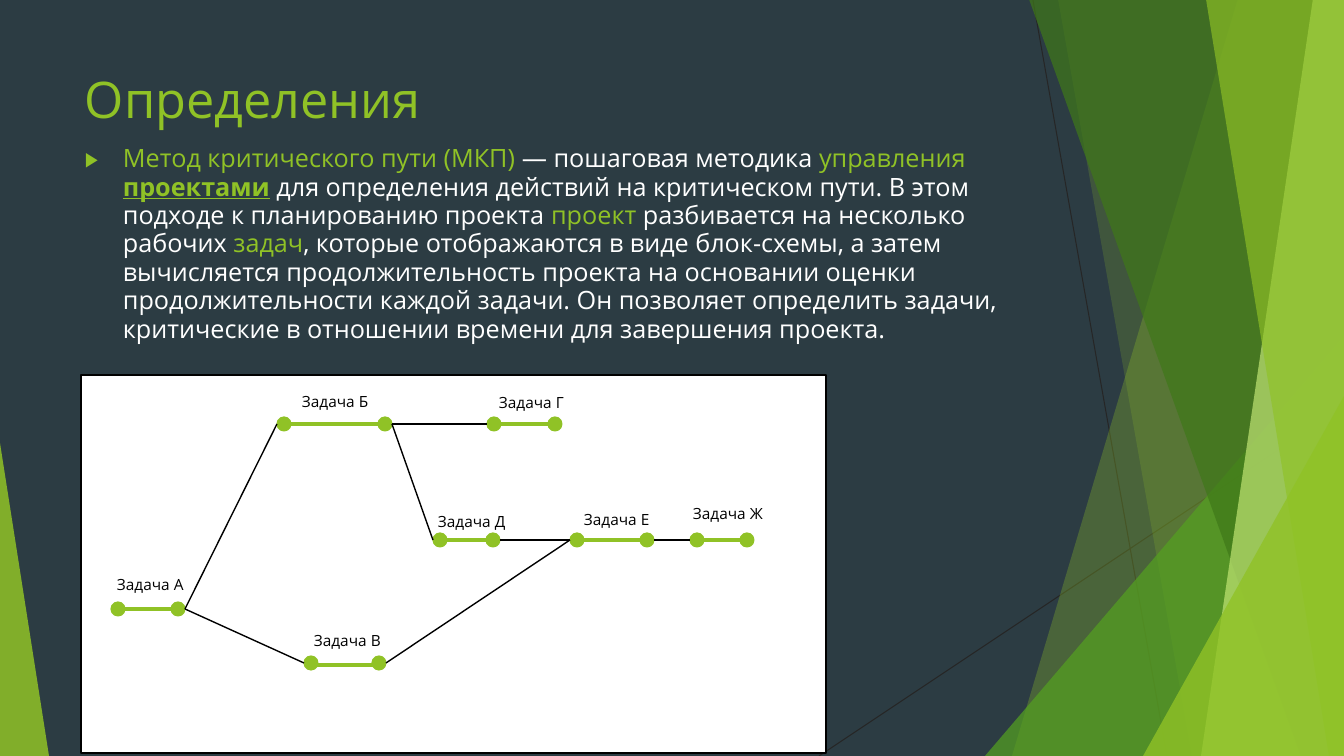
from lxml.etree import SubElement
from pptx import Presentation
from pptx.dml.color import RGBColor
from pptx.enum.shapes import MSO_CONNECTOR as Connector, MSO_SHAPE as Shape
from pptx.oxml.ns import qn
from pptx.util import Pt

EMU_PER_PIXEL = 914400 / 100.8
SLIDE_WIDTH, SLIDE_HEIGHT = 1344, 756
FONT = "Open Sans"
GREEN, WHITE, BLACK = "90C226", "FFFFFF", "000000"
DOT = 13
DOT_REACH = 7

# Facets from back to front: (x at top, x at bottom) for a band reaching the right
# edge, or (left, top, width, apex) for a triangle standing on the bottom edge.
FACETS = [
    ((1238, 1012), GREEN, 30),
    ((1058, 1192), GREEN, 20),
    ((985, 336, 359, 1), "54A021", 72),
    ((1029, 1301), "3F7819", 70),
    ((1313, 1201), "C0E474", 70),
    ((1206, 1329), GREEN, 65),
    ((1143, 396, 201, 1), GREEN, 80),
    ((0, 443, 49, 0), GREEN, 85),
]
THIN_LINES = [((1033, 0), (1167, 756)), ((1344, 406), (819, 756))]

# Task: start x, end x, y, drop of the bar, label place; all within the diagram.
TASKS = {
    "А": (37, 97, 234, 0, (26, 195)),
    "Б": (203, 304, 49, 0, (211, 12)),
    "В": (230, 298, 288, 2, (223, 251)),
    "Г": (413, 474, 49, 0, (408, 13)),
    "Д": (359, 412, 165, 0, (347, 132)),
    "Е": (496, 566, 165, 0, (493, 130)),
    "Ж": (616, 666, 165, 0, (602, 124)),
}
LINKS = ["АБ", "АВ", "БГ", "БД", "ДЕ", "ВЕ", "ЕЖ"]

DEFINITION = [
    ("Метод критического пути (МКП) ", {"color": GREEN}),
    ("— пошаговая методика ", {}),
    ("управления ", {"color": GREEN}),
    ("проектами", {"color": GREEN, "bold": True, "underline": True}),
    (" для определения действий на критическом пути. В этом подходе к "
     "планированию проекта ", {}),
    ("проект", {"color": GREEN}),
    (" разбивается на несколько рабочих ", {}),
    ("задач", {"color": GREEN}),
    (", которые отображаются в виде блок-схемы, а затем вычисляется "
     "продолжительность проекта на основании оценки продолжительности каждой "
     "задачи. Он позволяет определить задачи, критические в отношении времени "
     "для завершения проекта.", {}),
]


def emu(*pixels):
    """Turn pixel lengths into a list of EMU lengths."""
    return [round(pixel * EMU_PER_PIXEL) for pixel in pixels]


def paint(color_format, color):
    """Set a colour from a hex string."""
    color_format.rgb = RGBColor.from_string(color)


def style_shape(shape, fill, opacity=100, line=None, weight=0):
    """Give a shape its fill, opacity and outline, without a shadow."""
    shape.shadow.inherit = False
    shape.fill.solid()
    paint(shape.fill.fore_color, fill)
    if opacity < 100:
        color = shape.fill._xPr.find(qn("a:solidFill"))[0]
        SubElement(color, qn("a:alpha"), val=str(opacity * 1000))
    if line:
        paint(shape.line.color, line)
        shape.line.width = Pt(weight)
    else:
        shape.line.fill.background()
    return shape


def add_line(slide, start, end, color, weight):
    """Draw a straight connector between two points."""
    line = slide.shapes.add_connector(Connector.STRAIGHT, *emu(*start, *end))
    paint(line.line.color, color)
    line.line.width = Pt(weight)
    SubElement(line._element.spPr, qn("a:effectLst"))


def add_text(slide, box, runs, size, spacing=1.0):
    """Add a one-paragraph text box and return its paragraph."""
    frame = slide.shapes.add_textbox(*emu(*box)).text_frame
    frame.word_wrap = True
    paragraph = frame.paragraphs[0]
    paragraph.line_spacing = spacing
    for text, changes in runs:
        values = {"name": FONT, "size": Pt(size), "color": WHITE, **changes}
        run = paragraph.add_run()
        run.text = text
        paint(run.font.color, values.pop("color"))
        for name, value in values.items():
            setattr(run.font, name, value)
    return paragraph


def add_bullet(paragraph, indent):
    """Put a small green triangle bullet before a hanging paragraph."""
    properties = paragraph._p.get_or_add_pPr()
    margin = emu(indent)[0]
    properties.set("marL", str(margin))
    properties.set("indent", str(-margin))
    color = SubElement(properties, qn("a:buClr"))
    SubElement(color, qn("a:srgbClr"), val=GREEN)
    SubElement(properties, qn("a:buSzPct"), val="80000")
    SubElement(properties, qn("a:buFont"), typeface=FONT)
    SubElement(properties, qn("a:buChar"), char="▶")


def add_facets(slide, box):
    """Draw the thin lines and translucent facets of the backdrop."""
    left, top, width, height = box
    right, bottom = left + width, top + height
    for start, end in THIN_LINES:
        add_line(slide, (left + start[0], top + start[1]),
                 (left + end[0], top + end[1]), "262626", 0.75)
    for place, color, opacity in FACETS:
        if len(place) == 2:
            upper, lower = left + place[0], left + place[1]
            corners = [(right, top - 1), (right, bottom), (lower, bottom)]
            builder = slide.shapes.build_freeform(*emu(upper, top - 1), scale=1)
            builder.add_line_segments([emu(*corner) for corner in corners])
            facet = builder.convert_to_shape()
        else:
            x, y, facet_width, apex = place
            facet = slide.shapes.add_shape(
                Shape.ISOSCELES_TRIANGLE,
                *emu(left + x, top + y, facet_width, height - y))
            facet.adjustments[0] = apex
        style_shape(facet, color, opacity)


def add_definition(slide, box):
    """Write the heading and the bulleted definition below it."""
    left, top, width, height = box
    add_text(slide, (left, top, width, 145),
             [("Определения", {"color": GREEN})], 36, 0.95)
    paragraph = add_text(slide, (left, top + 72, width, height - 72),
                         DEFINITION, 18, 0.94)
    add_bullet(paragraph, 38)


def add_task_network(slide, box):
    """Draw the white panel with linked tasks and their labels."""
    left, top, _, _ = box
    panel = slide.shapes.add_shape(Shape.RECTANGLE, *emu(*box))
    style_shape(panel, WHITE, line=BLACK, weight=1.5)
    for letter, (start, end, y, drop, label) in TASKS.items():
        for x in (start, end):
            dot = slide.shapes.add_shape(
                Shape.OVAL,
                *emu(left + x - DOT / 2, top + y - DOT / 2, DOT, DOT))
            style_shape(dot, GREEN, line=GREEN, weight=1.5)
        bar_y = top + y + drop
        add_line(slide, (left + start, bar_y), (left + end, bar_y), GREEN, 2.25)
        add_text(slide, (left + label[0], top + label[1], 93, 29),
                 [(f"Задача {letter}", {"color": BLACK})], 11)
    for source, target in LINKS:
        _, source_x, source_y, _, _ = TASKS[source]
        target_x, _, target_y, _, _ = TASKS[target]
        add_line(slide, (left + source_x + DOT_REACH, top + source_y),
                 (left + target_x - DOT_REACH, top + target_y), BLACK, 1)


def main():
    """Build the slide and save it."""
    presentation = Presentation()
    presentation.slide_width, presentation.slide_height = emu(
        SLIDE_WIDTH, SLIDE_HEIGHT)
    slide = presentation.slides.add_slide(presentation.slide_layouts[6])
    slide.background.fill.solid()
    paint(slide.background.fill.fore_color, "2C3C43")
    add_facets(slide, (0, 0, SLIDE_WIDTH, SLIDE_HEIGHT))
    add_definition(slide, (75, 68, 948, 500))
    add_task_network(slide, (81, 375, 745, 378))
    presentation.save("out.pptx")


main()
